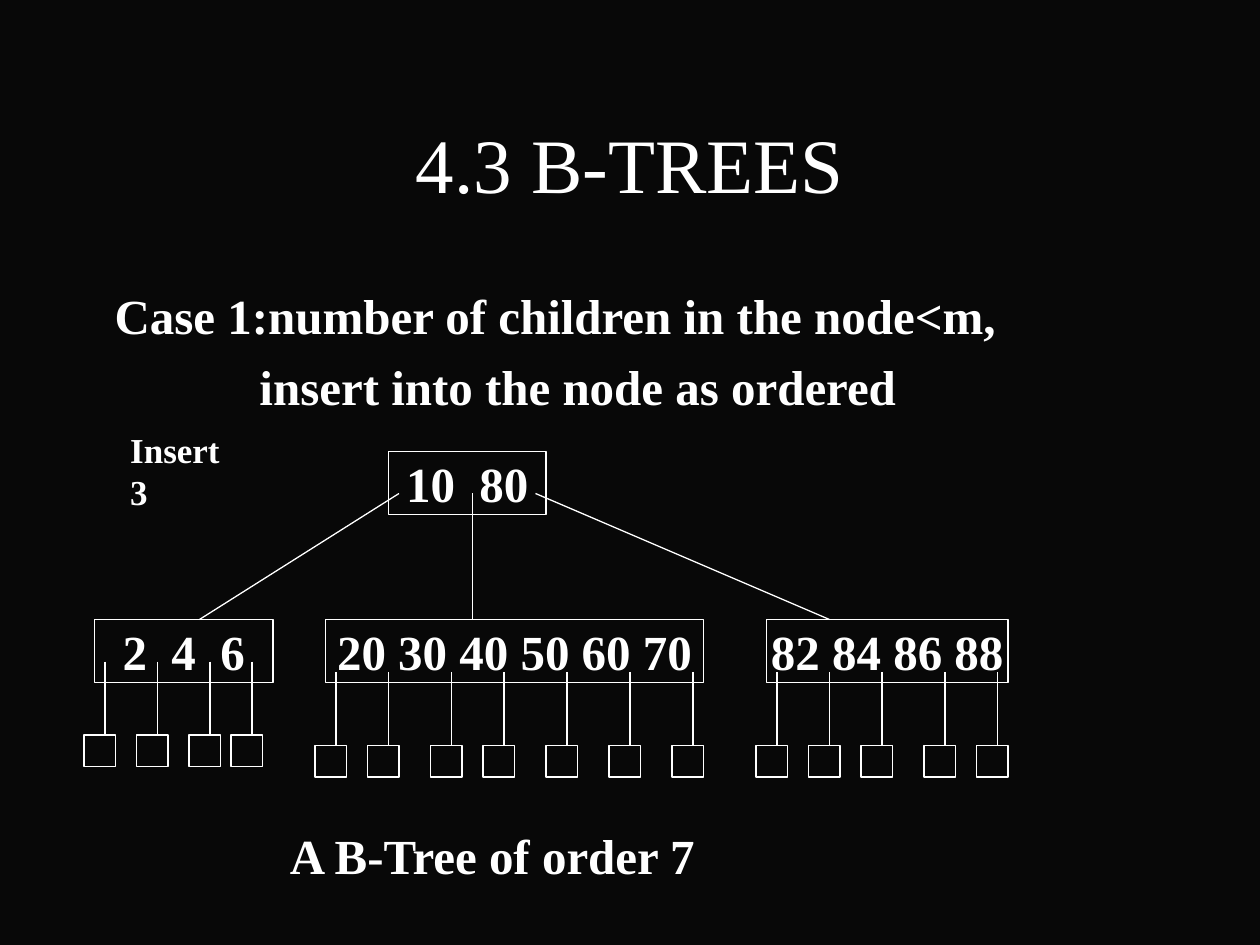
from pptx import Presentation
from pptx.dml.color import RGBColor
from pptx.enum.shapes import MSO_CONNECTOR, MSO_SHAPE
from pptx.enum.text import MSO_ANCHOR, PP_ALIGN
from pptx.oxml.ns import qn
from pptx.util import Inches, Pt
from lxml.etree import SubElement

COLORS = {"back": "080808", "ink": "FFFFFF"}
FONT = "Times New Roman"
UNIT = Inches(1) / 12  # the grid has 120 columns and 90 rows
STEM, LEAF = 7, 3  # stem length and leaf size in grid units


def grid(*nums):
    return [round(n * UNIT) for n in nums]


def color(name):
    return RGBColor.from_string(COLORS[name])


def write(frame, lines, size, bold=True, align=PP_ALIGN.LEFT,
          anchor=MSO_ANCHOR.TOP, wrap=True, gap=0):
    """Write (text, left indent in inches) lines into a text frame."""
    frame.word_wrap = wrap
    frame.vertical_anchor = anchor
    frame.margin_left = frame.margin_right = Inches(0.05)
    frame.margin_top = frame.margin_bottom = Inches(0.05)
    for i, (text, indent) in enumerate(lines):
        para = frame.add_paragraph() if i else frame.paragraphs[0]
        para.alignment = align
        para.space_before = Pt(gap if i else 0)
        if indent:
            para._p.get_or_add_pPr().set("marL", str(Inches(indent)))
        run = para.add_run()
        run.text = text
        run.font.name, run.font.size, run.font.bold = FONT, Pt(size), bold
        run.font.color.rgb = color("ink")


def label(slide, box, lines, size, **style):
    shape = slide.shapes.add_textbox(*grid(*box))
    write(shape.text_frame, lines, size, **style)
    return shape


def rect(slide, box):
    shape = slide.shapes.add_shape(MSO_SHAPE.RECTANGLE, *grid(*box))
    shape.shadow.inherit = False
    shape.fill.background()
    shape.line.color.rgb = color("ink")
    shape.line.width = Pt(0.75)
    return shape


def edge(slide, start, end):
    line = slide.shapes.add_connector(MSO_CONNECTOR.STRAIGHT,
                                      *grid(*start, *end))
    line.line.color.rgb = color("ink")
    line.line.width = Pt(0.75)
    SubElement(line._element.spPr, qn("a:effectLst"))


def node(slide, box, keys):
    write(rect(slide, box).text_frame, [(keys, 0)], 28,
          align=PP_ALIGN.CENTER, anchor=MSO_ANCHOR.MIDDLE, wrap=False)


def leaves(slide, box, cols, drop):
    """Hang a stem and an empty leaf under a node at each column."""
    left, top = box[:2]
    for col in cols:
        x, y = left + col, top + drop
        edge(slide, (x, y), (x, y + STEM))
        rect(slide, (x - 2, y + STEM, LEAF, LEAF))


def tree(slide, left, top):
    # Root
    node(slide, (left + 28, top, 15, 6), "10  80")

    # Children: column, width, keys, leaf columns, stem drop
    kids = [
        (0, 17, "2  4  6", (1, 6, 11, 15), 4),
        (22, 36, "20 30 40 50 60 70", (1, 6, 12, 17, 23, 29, 35), 5),
        (64, 23, "82 84 86 88", (1, 6, 11, 17, 22), 5),
    ]
    row = top + 16
    for col, width, keys, cols, drop in kids:
        box = (left + col, row, width, 6)
        node(slide, box, keys)
        leaves(slide, box, cols, drop)

    # Edges from the root to its children
    for start, end in ((29, 10), (36, 36), (42, 70)):
        edge(slide, (left + start, top + 4), (left + end, row))


def heading(slide, box):
    title = slide.shapes.title
    title.left, title.top, title.width, title.height = grid(*box)
    write(title.text_frame, [("4.3 B-TREES", 0)], 44, bold=False,
          align=PP_ALIGN.CENTER, anchor=MSO_ANCHOR.MIDDLE)


def main():
    deck = Presentation()
    deck.slide_width, deck.slide_height = Inches(10), Inches(7.5)
    slide = deck.slides.add_slide(deck.slide_layouts[5])
    slide.background.fill.solid()
    slide.background.fill.fore_color.rgb = color("back")

    heading(slide, (9, 8, 102, 15))

    # Case text
    case = label(slide, (9, 26, 102, 54),
                 [("Case 1:number of children in the node<m,", 0.11),
                  ("insert into the node as ordered", 1.26)], 28, gap=7)
    case.text_frame.margin_top = Inches(0.1)

    # Tree with its labels
    tree(slide, 9, 43)
    label(slide, (27, 78, 56, 6), [("A B-Tree of order 7", 0)], 28)
    label(slide, (11.8, 40.2, 13, 5), [("Insert  3", 0)], 20, wrap=False)

    deck.save("out.pptx")


if __name__ == "__main__":
    main()
